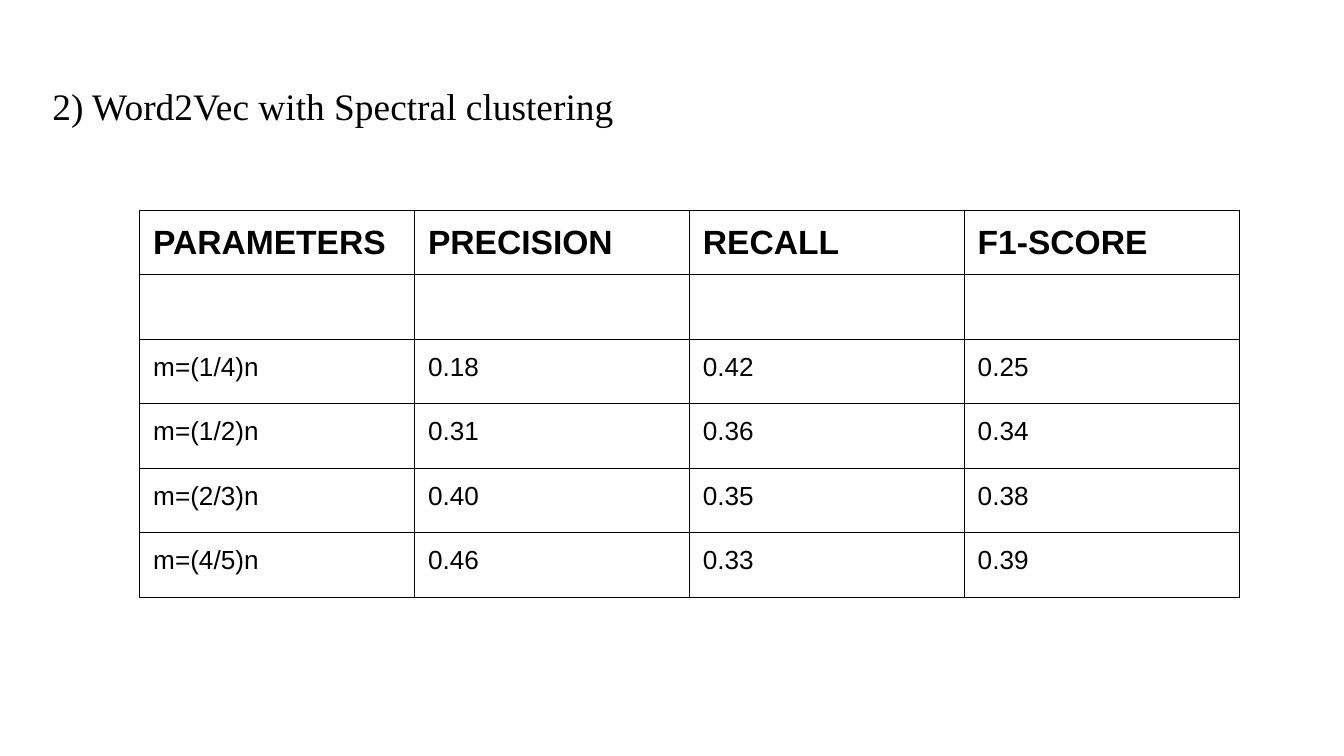
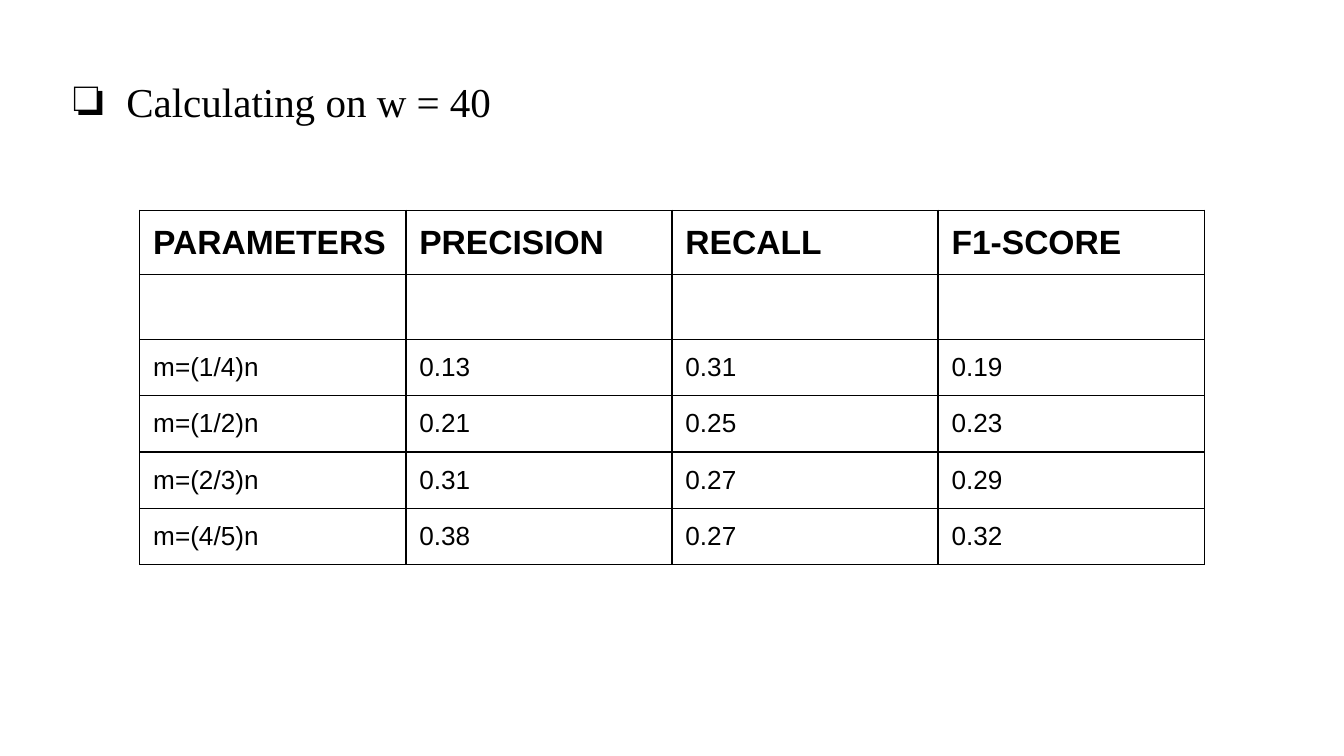
from dataclasses import dataclass

from lxml import etree
from pptx import Presentation
from pptx.dml.color import RGBColor
from pptx.enum import text
from pptx.oxml import ns
from pptx.util import Inches, Pt


@dataclass(frozen=True)
class Theme:
    ink: str = "000000"
    paper: str = "FFFFFF"
    title_font: str = "Times New Roman"
    table_font: str = "Arial"
    header_size: int = 18
    value_size: int = 14
    border: float = 0.75
    inset: float = 0.1


THEME = Theme()
WIDTH = 10
HEIGHT = WIDTH * 9 / 16
TABLE_LEFT, TABLE_TOP = 0.104 * WIDTH, 0.278 * HEIGHT
HEADERS = ("PARAMETERS", "PRECISION", "RECALL", "F1-SCORE")
PARAMETERS = ("m=(1/4)n", "m=(1/2)n", "m=(2/3)n", "m=(4/5)n")


def write(p, words, *, font, size, bold=False):
    r = p.add_run()
    r.text = words
    r.font.name, r.font.size, r.font.bold = font, Pt(size), bold
    r.font.color.rgb = RGBColor.from_string(THEME.ink)


def size_empty(p, *, font, size):
    """Set the line height of a paragraph that holds no text."""
    end = etree.SubElement(p._p, ns.qn("a:endParaRPr"), sz=str(size * 100))
    etree.SubElement(end, ns.qn("a:latin"), typeface=font)


def add_bullet(p, char, indent, hanging):
    pPr = p._p.get_or_add_pPr()
    pPr.set("marL", str(Inches(indent)))
    pPr.set("indent", str(-Inches(hanging)))
    color = etree.SubElement(pPr, ns.qn("a:buClr"))
    etree.SubElement(color, ns.qn("a:srgbClr"), val=THEME.ink)
    etree.SubElement(pPr, ns.qn("a:buFont"), typeface=THEME.title_font)
    etree.SubElement(pPr, ns.qn("a:buChar"), char=char)


def add_title(s, words, box, *, size, drop, bullet=None):
    """Fill the title placeholder; drop is the inset above its first line."""
    sp = s.shapes.title
    sp.left, sp.top, sp.width, sp.height = (Inches(v) for v in box)
    tf = sp.text_frame
    tf.word_wrap = True
    tf.auto_size = text.MSO_AUTO_SIZE.NONE
    tf.vertical_anchor = text.MSO_ANCHOR.TOP
    tf.margin_left = tf.margin_right = Inches(THEME.inset)
    tf.margin_top, tf.margin_bottom = Inches(drop), 0
    p = tf.paragraphs[0]
    p.alignment = text.PP_ALIGN.LEFT
    if bullet:
        add_bullet(p, bullet, indent=0.5, hanging=0.4)
    write(p, words, font=THEME.title_font, size=size)


def add_borders(cell):
    tcPr = cell._tc.get_or_add_tcPr()
    for i, side in enumerate(("lnL", "lnR", "lnT", "lnB")):
        line = etree.Element(ns.qn(f"a:{side}"), w=str(Pt(THEME.border)))
        fill = etree.SubElement(line, ns.qn("a:solidFill"))
        etree.SubElement(fill, ns.qn("a:srgbClr"), val=THEME.ink)
        tcPr.insert(i, line)


def add_scores(s, scores, *, width, row_height):
    """Draw the header, an empty row, then one row of scores per parameter."""
    rows = [HEADERS, ("",) * len(HEADERS)]
    rows += [(name, *values) for name, values in zip(PARAMETERS, scores)]
    table = s.shapes.add_table(
        len(rows), len(HEADERS), Inches(TABLE_LEFT), Inches(TABLE_TOP),
        Inches(width), Inches(row_height * len(rows))).table
    table.first_row = table.horz_banding = False
    for i, row in enumerate(rows):
        table.rows[i].height = Inches(row_height)
        for j, words in enumerate(row):
            cell = table.cell(i, j)
            cell.fill.background()
            add_borders(cell)
            cell.margin_left = cell.margin_right = Inches(THEME.inset)
            cell.margin_top = cell.margin_bottom = Inches(THEME.inset)
            p = cell.text_frame.paragraphs[0]
            if words:
                write(p, words, font=THEME.table_font, bold=i == 0,
                      size=THEME.value_size if i else THEME.header_size)
            else:
                size_empty(p, font=THEME.table_font, size=THEME.header_size)


def add_score_slide(prs, title, scores, grid):
    s = prs.slides.add_slide(prs.slide_layouts[5])
    s.background.fill.solid()
    s.background.fill.fore_color.rgb = RGBColor.from_string(THEME.paper)
    add_title(s, **title)
    add_scores(s, scores, **grid)


def main():
    prs = Presentation()
    prs.slide_width, prs.slide_height = Inches(WIDTH), Inches(HEIGHT)
    add_score_slide(
        prs,
        dict(words="2) Word2Vec with Spectral clustering",
             box=(0.29, 0.18, 9.32, 1), size=20, drop=0.44),
        (("0.18", "0.42", "0.25"), ("0.31", "0.36", "0.34"),
         ("0.40", "0.35", "0.38"), ("0.46", "0.33", "0.39")),
        dict(width=8.18, row_height=0.48))
    add_score_slide(
        prs,
        dict(words="Calculating on w = 40", bullet="❏",
             box=(0.34, 0.29, 9.32, 0.63), size=22, drop=0.28),
        (("0.13", "0.31", "0.19"), ("0.21", "0.25", "0.23"),
         ("0.31", "0.27", "0.29"), ("0.38", "0.27", "0.32")),
        dict(width=7.92, row_height=0.42))
    prs.save("out.pptx")


if __name__ == "__main__":
    main()
